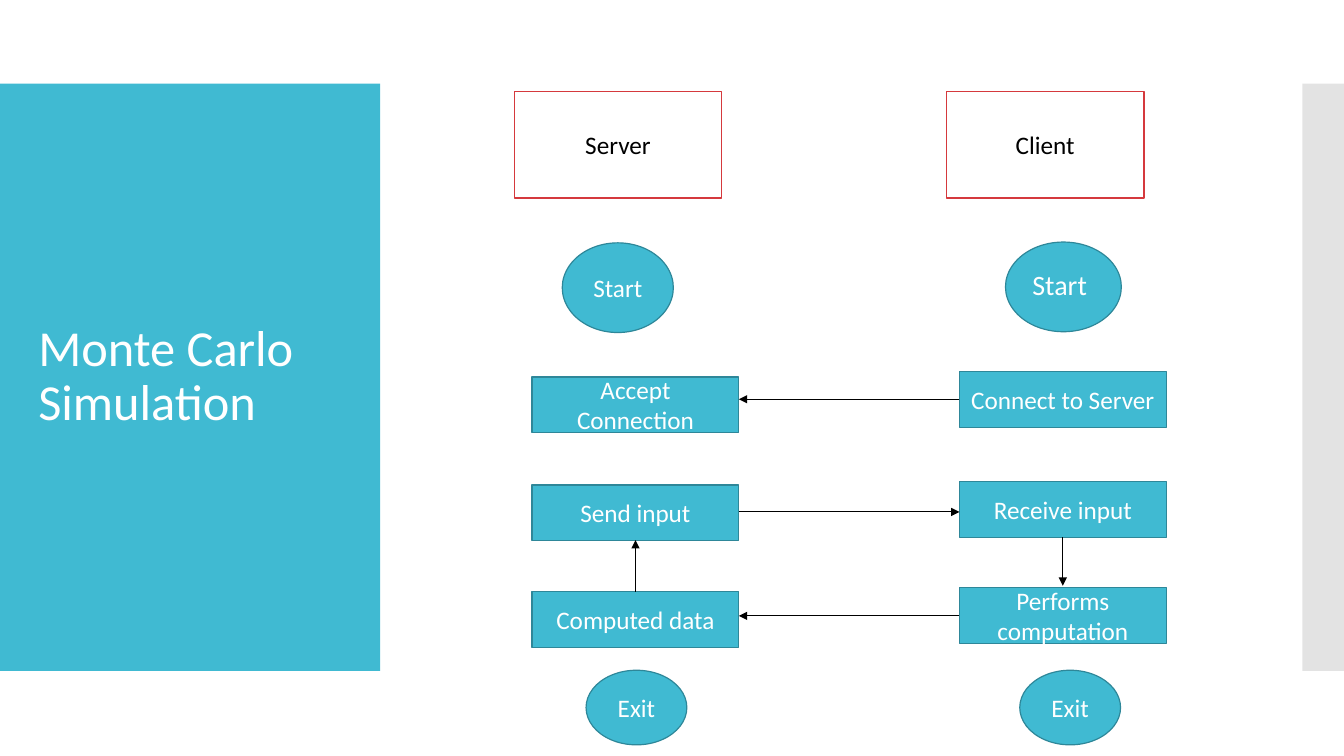
from lxml import etree
from pptx import Presentation
from pptx.dml.color import RGBColor
from pptx.enum.shapes import MSO_CONNECTOR, MSO_SHAPE
from pptx.enum.text import MSO_ANCHOR, MSO_AUTO_SIZE, PP_ALIGN
from pptx.oxml import parse_xml
from pptx.oxml.ns import nsdecls, qn
from pptx.util import Cm, Pt

COLORS = {
    "teal": "40BAD2",
    "teal_edge": "2E8799",
    "red": "D5393D",
    "gray": "C8C8C8",
    "white": "FFFFFF",
    "black": "000000",
}
FONT = "Calibri"
STEP_WIDTH, STEP_HEIGHT = 5.21, 1.4
SERVER_LEFT, CLIENT_LEFT = 13.41, 24.18
SERVER_RIGHT = SERVER_LEFT + STEP_WIDTH
SERVER_MIDDLE = SERVER_LEFT + STEP_WIDTH / 2
CLIENT_MIDDLE = CLIENT_LEFT + STEP_WIDTH / 2

HEADINGS = [
    ("Server", 12.97, 5.21),
    ("Client", 23.85, 4.98),
]
STEPS = [
    ("Accept Connection", SERVER_LEFT, 9.5),
    ("Send input", SERVER_LEFT, 12.22),
    ("Computed data", SERVER_LEFT, 14.91),
    ("Connect to Server", CLIENT_LEFT, 9.37),
    ("Receive input", CLIENT_LEFT, 12.14),
    ("Performs computation", CLIENT_LEFT, 14.81),
]
ARROWS = [
    (CLIENT_LEFT, 10.06, SERVER_RIGHT, 10.06),
    (SERVER_RIGHT, 12.9, CLIENT_LEFT, 12.9),
    (CLIENT_LEFT, 15.52, SERVER_RIGHT, 15.52),
    (CLIENT_MIDDLE, 13.54, CLIENT_MIDDLE, 14.76),
    (SERVER_MIDDLE, 14.91, SERVER_MIDDLE, 13.61),
]


def rgb(name):
    return RGBColor.from_string(COLORS[name])


def write(shape, text, size=18, color="white", align=PP_ALIGN.CENTER, spacing=None):
    frame = shape.text_frame
    frame.word_wrap = True
    frame.auto_size = MSO_AUTO_SIZE.NONE
    frame.vertical_anchor = MSO_ANCHOR.MIDDLE
    para = frame.paragraphs[0]
    para.alignment = align
    para.line_spacing = spacing
    span = para.add_run()
    span.text = text
    span.font.name = FONT
    span.font.size = Pt(size)
    span.font.color.rgb = rgb(color)


def add_box(page, kind, left, top, width, height, fill="teal", edge="teal_edge"):
    box = page.shapes.add_shape(kind, Cm(left), Cm(top), Cm(width), Cm(height))
    box.shadow.inherit = False
    box.fill.solid()
    box.fill.fore_color.rgb = rgb(fill)
    if edge:
        box.line.color.rgb = rgb(edge)
        box.line.width = Pt(0.85)
    else:
        box.line.fill.background()
    return box


def add_arrow(page, start_x, start_y, end_x, end_y):
    arrow = page.shapes.add_connector(
        MSO_CONNECTOR.STRAIGHT, Cm(start_x), Cm(start_y), Cm(end_x), Cm(end_y)
    )
    arrow.line.color.rgb = rgb("black")
    arrow.line.width = Pt(0.75)
    arrow.line._get_or_add_ln().append(
        parse_xml(f'<a:tailEnd {nsdecls("a")} type="triangle"/>')
    )
    etree.SubElement(arrow.element.spPr, qn("a:effectLst"))


def add_side_panels(page):
    add_box(page, MSO_SHAPE.RECTANGLE, 0, 2.11, 9.58, 14.8, edge=None)
    strip = add_box(
        page, MSO_SHAPE.RECTANGLE, 32.82, 2.11, 1.05, 14.8, fill="gray", edge=None
    )
    tint = strip.element.spPr.find(qn("a:solidFill"))[0]
    etree.SubElement(tint, qn("a:alpha"), val="50000")


def place_title(page, text):
    """Fill the title placeholder and bring it in front of the panels."""
    title = page.shapes.title
    title.left, title.top = Cm(0.71), Cm(3.12)
    title.width, title.height = Cm(8.18), Cm(12.78)
    write(title, text, size=36, align=PP_ALIGN.LEFT, spacing=0.9)
    title.element.getparent().append(title.element)


def main():
    deck = Presentation()
    deck.slide_width, deck.slide_height = Cm(33.87), Cm(19.05)
    page = deck.slides.add_slide(deck.slide_layouts[5])

    add_side_panels(page)
    place_title(page, "Monte Carlo Simulation")

    for text, left, width in HEADINGS:
        box = add_box(
            page, MSO_SHAPE.RECTANGLE, left, 2.3, width, 2.69, fill="white", edge="red"
        )
        write(box, text, color="black")

    server_start = add_box(page, MSO_SHAPE.OVAL, 14.17, 6.12, 2.8, 2.26)
    write(server_start, "Start")
    client_start = add_box(page, MSO_SHAPE.OVAL, 25.34, 6.1, 2.92, 2.26)
    write(client_start, "Start", size=20, align=PP_ALIGN.LEFT, spacing=0.9)

    for text, left, top in STEPS:
        box = add_box(page, MSO_SHAPE.RECTANGLE, left, top, STEP_WIDTH, STEP_HEIGHT)
        write(box, text)

    for left in (14.77, 25.7):
        write(add_box(page, MSO_SHAPE.OVAL, left, 16.89, 2.54, 1.88), "Exit")

    for ends in ARROWS:
        add_arrow(page, *ends)

    deck.save("out.pptx")


if __name__ == "__main__":
    main()
